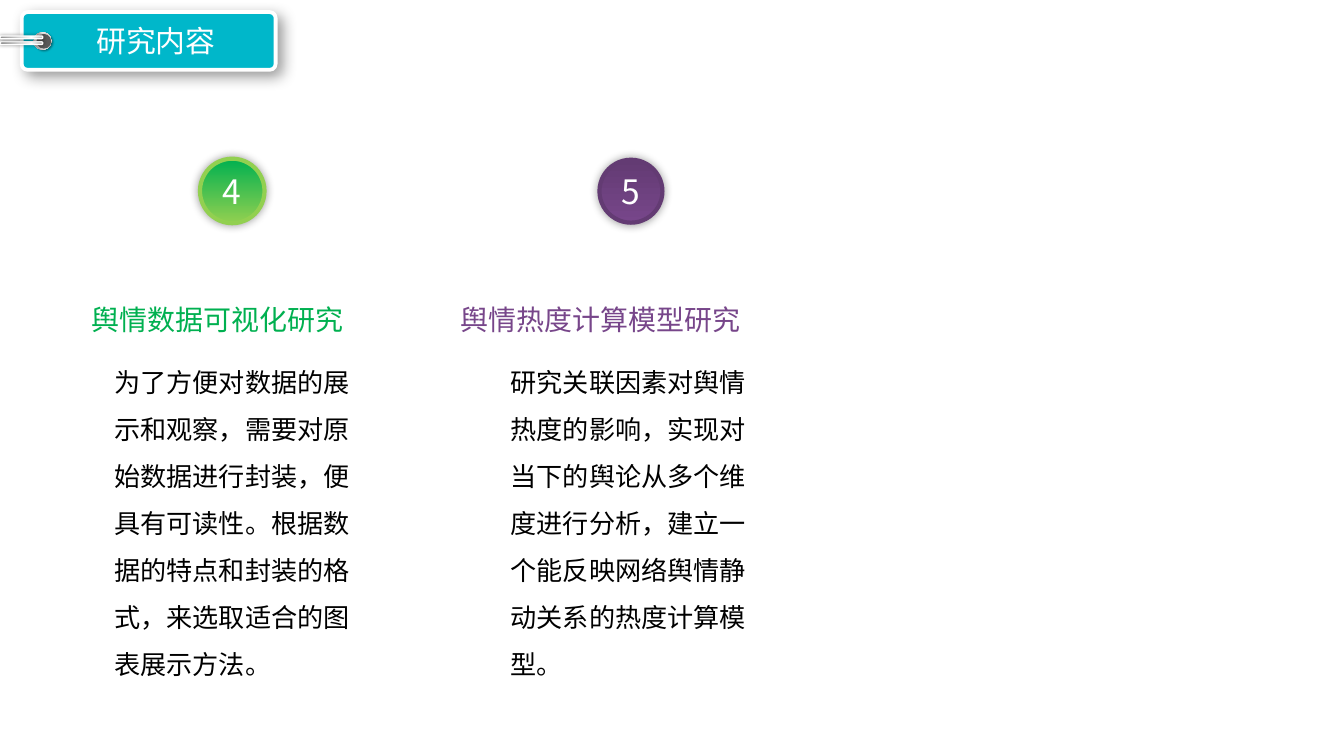
import pptx
import pptx.dml.color
import pptx.enum.shapes
import pptx.enum.text
import pptx.oxml
import pptx.oxml.ns
import pptx.util

Cm, Pt = pptx.util.Cm, pptx.util.Pt
MSO = pptx.enum.shapes.MSO_SHAPE
ALIGN = pptx.enum.text.PP_ALIGN
ANCHOR = pptx.enum.text.MSO_ANCHOR
NS = pptx.oxml.ns.nsdecls("a")

COLOURS = {
    "white": "FFFFFF", "black": "000000", "teal": "00B7CA",
    "green": "00B050", "lime": "92D050", "plum": "633B73", "purple": "77468A",
    "hole": "595959", "steel": "808080", "grey": "A6A6A6",
    "silver": "D9D9D9", "pale": "F2F2F2",
}
SANS, BODY_FONT = "Noto Sans CJK SC", "Noto Sans CJK TC"

TITLE = "研究内容"
TOPICS = [
    {"number": "4", "number_font": BODY_FONT, "heading": "舆情数据可视化研究",
     "body": "为了方便对数据的展示和观察，需要对原始数据进行封装，便具有可读性。"
             "根据数据的特点和封装的格式，来选取适合的图表展示方法。",
     "colour": "green", "blend": ("green", "lime"), "ring": "lime",
     "badge": (3.78, 3.0, 1.22), "heading_x": 1.45, "heading_width": 5.33,
     "heading_align": ALIGN.CENTER, "body_x": 2.16, "body_width": 4.47},
    {"number": "5", "number_font": SANS, "heading": "舆情热度计算模型研究",
     "body": "研究关联因素对舆情热度的影响，实现对当下的舆论从多个维度进行分析，"
             "建立一个能反映网络舆情静动关系的热度计算模型。",
     "colour": "purple", "blend": ("plum", "purple"), "ring": "plum",
     "badge": (11.33, 3.02, 1.19), "heading_x": 8.38, "heading_width": 5.87,
     "heading_align": ALIGN.RIGHT, "body_x": 9.65, "body_width": 4.55},
]
RING_STOPS = [(0, "white"), (17, "grey"), (35, "pale"),
              (55, "grey"), (75, "pale"), (100, "grey")]
ROD_STOPS = [(0, "steel"), (23, "grey"), (52, "silver"),
             (74, "white"), (100, "grey")]


def rgb(name):
    return pptx.dml.color.RGBColor.from_string(COLOURS[name])


def blend(shape, stops, angle):
    shape.fill.background()
    gs = "".join(f'<a:gs pos="{pos * 1000}"><a:srgbClr val="{COLOURS[name]}"/></a:gs>'
                 for pos, name in stops)
    gradient = pptx.oxml.parse_xml(
        f'<a:gradFill {NS} rotWithShape="1"><a:gsLst>{gs}</a:gsLst>'
        f'<a:lin ang="{angle * 60000}" scaled="0"/></a:gradFill>')
    properties = shape.element.spPr
    properties.replace(properties.find(pptx.oxml.ns.qn("a:noFill")), gradient)


def draw(slide, preset, box, fill, angle=0, line=None, shadow=None, rotation=0, corner=None):
    shape = slide.shapes.add_shape(preset, *map(Cm, box))
    shape.rotation = rotation
    if corner is not None:
        shape.adjustments[0] = corner
    if isinstance(fill, str):
        shape.fill.solid()
        shape.fill.fore_color.rgb = rgb(fill)
    else:
        blend(shape, fill, angle)
    if line:
        shape.line.color.rgb = rgb(line[0])
        shape.line.width = Pt(line[1])
    else:
        shape.line.fill.background()
    shape.shadow.inherit = False
    if shadow:
        blur, distance, direction = shadow
        effects = shape.element.spPr.find(pptx.oxml.ns.qn("a:effectLst"))
        effects.append(pptx.oxml.parse_xml(
            f'<a:outerShdw {NS} blurRad="{Pt(blur)}" dist="{Pt(distance)}" '
            f'dir="{direction * 60000}" algn="ctr" rotWithShape="0">'
            f'<a:srgbClr val="{COLOURS["black"]}"><a:alpha val="40000"/></a:srgbClr>'
            '</a:outerShdw>'))
    return shape


def write(shape, words, size, font, colour, align, frame_format, spacing=None):
    frame = shape.text_frame
    for name, value in frame_format.items():
        setattr(frame, name, value)
    paragraph = frame.paragraphs[0]
    paragraph.alignment = align
    if spacing:
        paragraph.line_spacing = spacing
    run = paragraph.add_run()
    run.text = words
    for name, value in {"size": Pt(size), "name": font}.items():
        setattr(run.font, name, value)
    run.font.color.rgb = rgb(colour)
    run.font._element.append(pptx.oxml.parse_xml(f'<a:ea {NS} typeface="{font}"/>'))


def margins(side, end):
    return {"margin_left": Cm(side), "margin_right": Cm(side),
            "margin_top": Cm(end), "margin_bottom": Cm(end)}


def add_title(slide):
    draw(slide, MSO.ROUNDED_RECTANGLE, (0.41, 0.23, 4.8, 1.09), "teal",
         line=("white", 2), shadow=(8, 4, 45), corner=0.1)
    draw(slide, MSO.OVAL, (0.64, 0.61, 0.33, 0.33), RING_STOPS, 45,
         shadow=(1, 1, 45), rotation=270)
    draw(slide, MSO.OVAL, (0.69, 0.64, 0.28, 0.28), "hole", rotation=270)
    for rod_y in (0.41, 0.3):
        draw(slide, MSO.ROUNDED_RECTANGLE, (0.38, rod_y, 0.05, 0.81), ROD_STOPS, 90,
             line=("white", 0.75), shadow=(2, 0, 0), rotation=270, corner=0.5)
    title = slide.shapes.add_textbox(*map(Cm, (0.69, 0.3, 4.52, 0.94)))
    write(title, TITLE, 16, SANS, "white", ALIGN.CENTER, {"word_wrap": True})


def add_topic(slide, topic):
    x, y, size = topic["badge"]
    start, end = topic["blend"]
    badge = draw(slide, MSO.OVAL, (x, y, size, size), [(0, start), (100, end)], 90,
                 line=(topic["ring"], 2.25), shadow=(5, 0, 0))
    write(badge, topic["number"], 18, topic["number_font"], "white", ALIGN.CENTER,
          {"vertical_anchor": ANCHOR.MIDDLE, **margins(0.18, 0.1)})
    heading = slide.shapes.add_textbox(
        *map(Cm, (topic["heading_x"], 5.59, topic["heading_width"], 0.89)))
    write(heading, topic["heading"], 15, SANS, topic["colour"],
          topic["heading_align"], {"word_wrap": False})
    body = slide.shapes.add_textbox(
        *map(Cm, (topic["body_x"], 6.63, topic["body_width"], 2.74)))
    write(body, topic["body"], 14, BODY_FONT, "black", ALIGN.LEFT,
          {"word_wrap": True, **margins(0, 0)}, spacing=1.5)


def main():
    deck = pptx.Presentation()
    deck.slide_width, deck.slide_height = Cm(25.4), Cm(14.29)
    slide = deck.slides.add_slide(deck.slide_layouts[6])
    add_title(slide)
    for topic in TOPICS:
        add_topic(slide, topic)
    deck.save("out.pptx")


if __name__ == "__main__":
    main()
